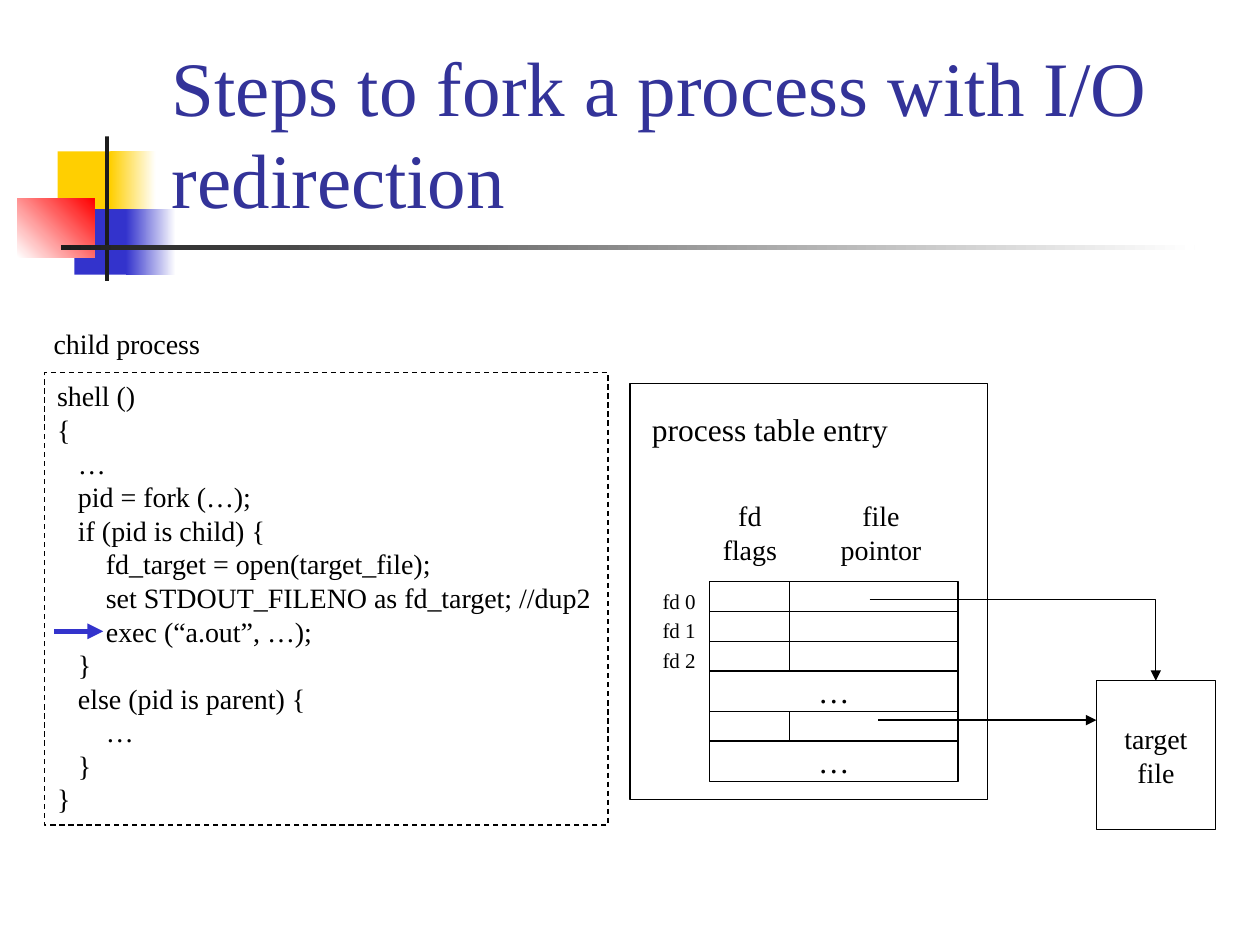
from lxml import etree
from pptx import Presentation
from pptx.dml.color import RGBColor
from pptx.enum.dml import MSO_LINE
from pptx.enum.shapes import MSO_CONNECTOR as CONN, MSO_SHAPE as SHAPE
from pptx.enum.text import MSO_ANCHOR as ANCHOR, PP_ALIGN as ALIGN
from pptx.oxml.ns import qn
from pptx.util import Pt

CODE = """shell ()
{
   …
   pid = fork (…);
   if (pid is child) {
       fd_target = open(target_file);
       set STDOUT_FILENO as fd_target; //dup2
       exec (“a.out”, …);
   }
   else (pid is parent) {
       …
   }
}"""


def rgb(color):
    return RGBColor.from_string(color)


class SlideBuilder:
    font = "Times New Roman"
    ink = "000000"
    line_width = 0.75

    def __init__(self, slide):
        self.s = slide

    def set_text(self, sp, text, size, color=None, align=ALIGN.LEFT,
                 anchor=ANCHOR.TOP, wrap=False):
        tf = sp.text_frame
        tf.text = text
        for name, value in {"word_wrap": wrap, "vertical_anchor": anchor}.items():
            setattr(tf, name, value)
        for p in tf.paragraphs:
            p.alignment = align
            for r in p.runs:
                for name, value in {"name": self.font, "size": Pt(size)}.items():
                    setattr(r.font, name, value)
                r.font.color.rgb = rgb(color or self.ink)

    def title(self, text, box, size, color):
        """Fill the title placeholder and bring it in front of the ornament."""
        sp = self.s.shapes.title
        for name, value in zip(("left", "top", "width", "height"), box):
            setattr(sp, name, Pt(value))
        self.set_text(sp, text, size, color, anchor=ANCHOR.BOTTOM, wrap=True)
        sp.element.getparent().append(sp.element)

    def shape(self, box):
        sp = self.s.shapes.add_shape(SHAPE.RECTANGLE, *map(Pt, box))
        sp.shadow.inherit = False
        return sp

    def block(self, box, *colors, angle=0):
        """Add a borderless rectangle, solid for one colour, gradient for two."""
        sp = self.shape(box)
        sp.line.fill.background()
        if len(colors) == 1:
            sp.fill.solid()
            sp.fill.fore_color.rgb = rgb(colors[0])
            return
        sp.fill.gradient()
        sp.fill.gradient_angle = angle
        for stop, color in zip(sp.fill.gradient_stops, colors):
            stop.color.rgb = rgb(color)

    def frame(self, box, text="", size=16, dash=None, **style):
        """Add an unfilled rectangle with a black outline."""
        sp = self.shape(box)
        sp.fill.background()
        sp.line.color.rgb = rgb(self.ink)
        sp.line.width = Pt(self.line_width)
        if dash:
            sp.line.dash_style = dash
        if text:
            self.set_text(sp, text, size, **style)

    def label(self, box, text, size=16, align=ALIGN.LEFT):
        sp = self.s.shapes.add_textbox(*map(Pt, box))
        self.set_text(sp, text, size, align=align)

    def arrow(self, start, end, color=None, width=None, bent=False):
        kind = CONN.ELBOW if bent else CONN.STRAIGHT
        c = self.s.shapes.add_connector(kind, *map(Pt, start + end))
        c.line.color.rgb = rgb(color or self.ink)
        c.line.width = Pt(width or self.line_width)
        sp_pr = c.element.spPr
        if bent:
            sp_pr.find(qn("a:prstGeom")).set("prst", "bentConnector2")
        etree.SubElement(sp_pr.find(qn("a:ln")), qn("a:tailEnd"), type="triangle")
        etree.SubElement(sp_pr, qn("a:effectLst"))


def add_ornament(b):
    yellow, blue, red, dark, white = "FFCF01", "3333CC", "FF0000", "1C1C1C", "FFFFFF"
    b.block((33, 86.5, 34.5, 37.5), yellow)
    b.block((63, 86.5, 26, 37.5), yellow, white)
    b.block((42.5, 119.5, 33, 37.5), blue)
    b.block((72, 119.5, 28.5, 37.5), blue, white)
    b.block((10, 113.5, 44, 33.5), white, red, angle=45)
    b.block((60, 78, 2.25, 82.5), dark)
    b.block((34.75, 140.25, 648, 2.5), dark, white)


def add_process_table(b):
    b.frame((360, 219, 204.5, 238))
    b.label((365.5, 230.5, 150, 29), "process table entry", 18)
    b.label((405.5, 281.5, 46, 46), "fd\nflags", align=ALIGN.CENTER)
    b.label((473, 281.5, 61, 46), "file\npointor", align=ALIGN.CENTER)

    left, flag_width, pointer_width = 405.5, 45.5, 96.5
    entry_height, gap_height = 17, 23
    y = 332.5
    for name in ("fd 0", "fd 1", "fd 2", "…", "", "…"):
        if name == "…":
            b.frame((left, y, flag_width + pointer_width, gap_height), name, 18,
                    align=ALIGN.CENTER, anchor=ANCHOR.MIDDLE)
            y += gap_height
            continue
        b.frame((left + flag_width, y, pointer_width, entry_height))
        b.frame((left, y, flag_width, entry_height))
        if name:
            b.label((371.5, y, 34, 21.5), name, 12)
        y += entry_height


def main():
    prs = Presentation()
    prs.slide_width, prs.slide_height = Pt(720), Pt(540)
    b = SlideBuilder(prs.slides.add_slide(prs.slide_layouts[5]))

    add_ornament(b)
    b.title("Steps to fork a process with I/O redirection",
            (91, 16.5, 613, 115), 44, "333399")
    b.frame((25.5, 213, 322, 258.5), CODE, dash=MSO_LINE.DASH)
    add_process_table(b)
    b.frame((626.5, 389, 68, 85), "target\nfile",
            align=ALIGN.CENTER, anchor=ANCHOR.MIDDLE)
    b.arrow((497, 342.5), (660.5, 389), bent=True)
    b.arrow((502, 411.5), (626.5, 411.5))
    b.label((23.5, 183, 99, 26.5), "child process")
    b.arrow((31, 360.75), (59, 360.75), "3333CC", 3)

    prs.save("out.pptx")


if __name__ == "__main__":
    main()
